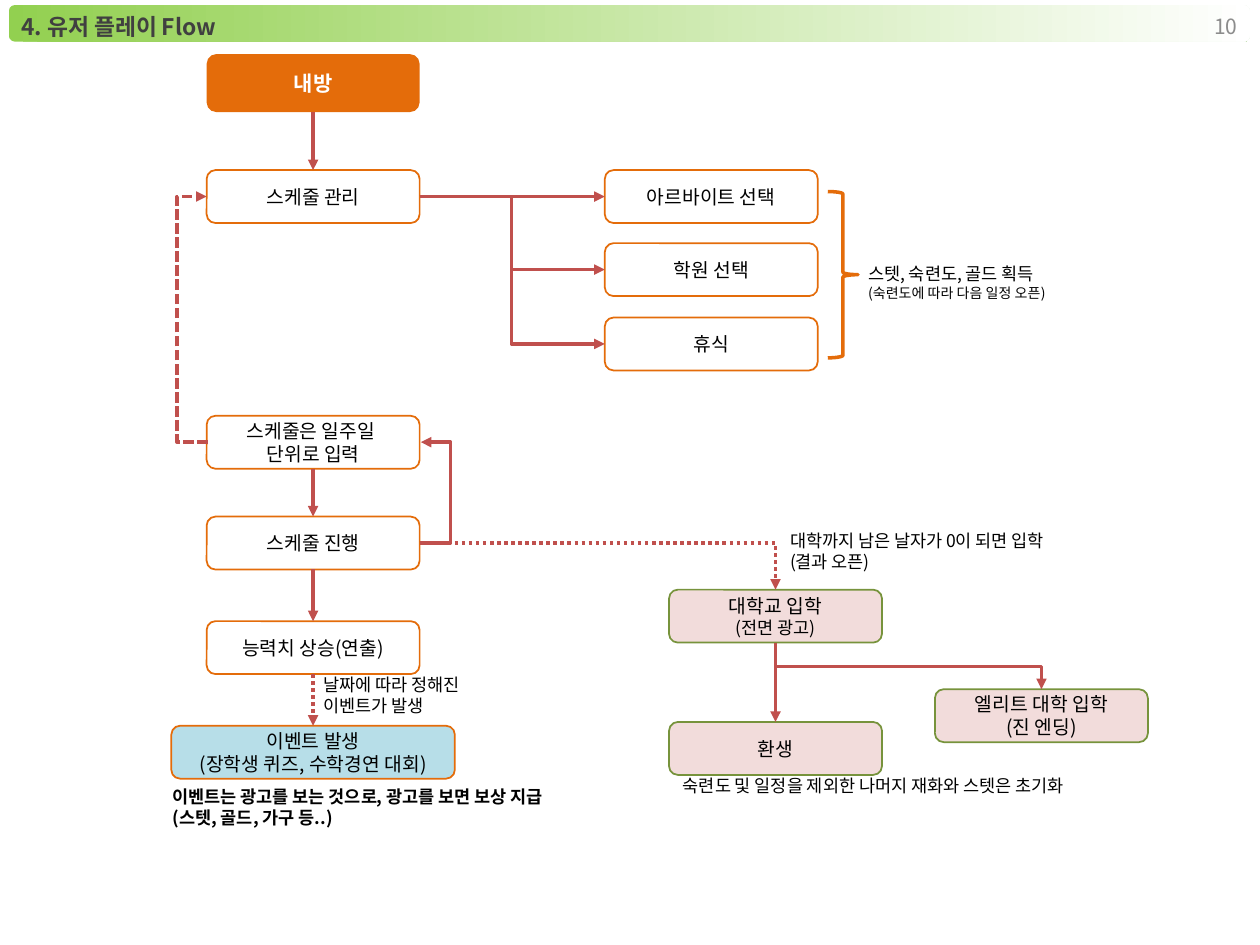
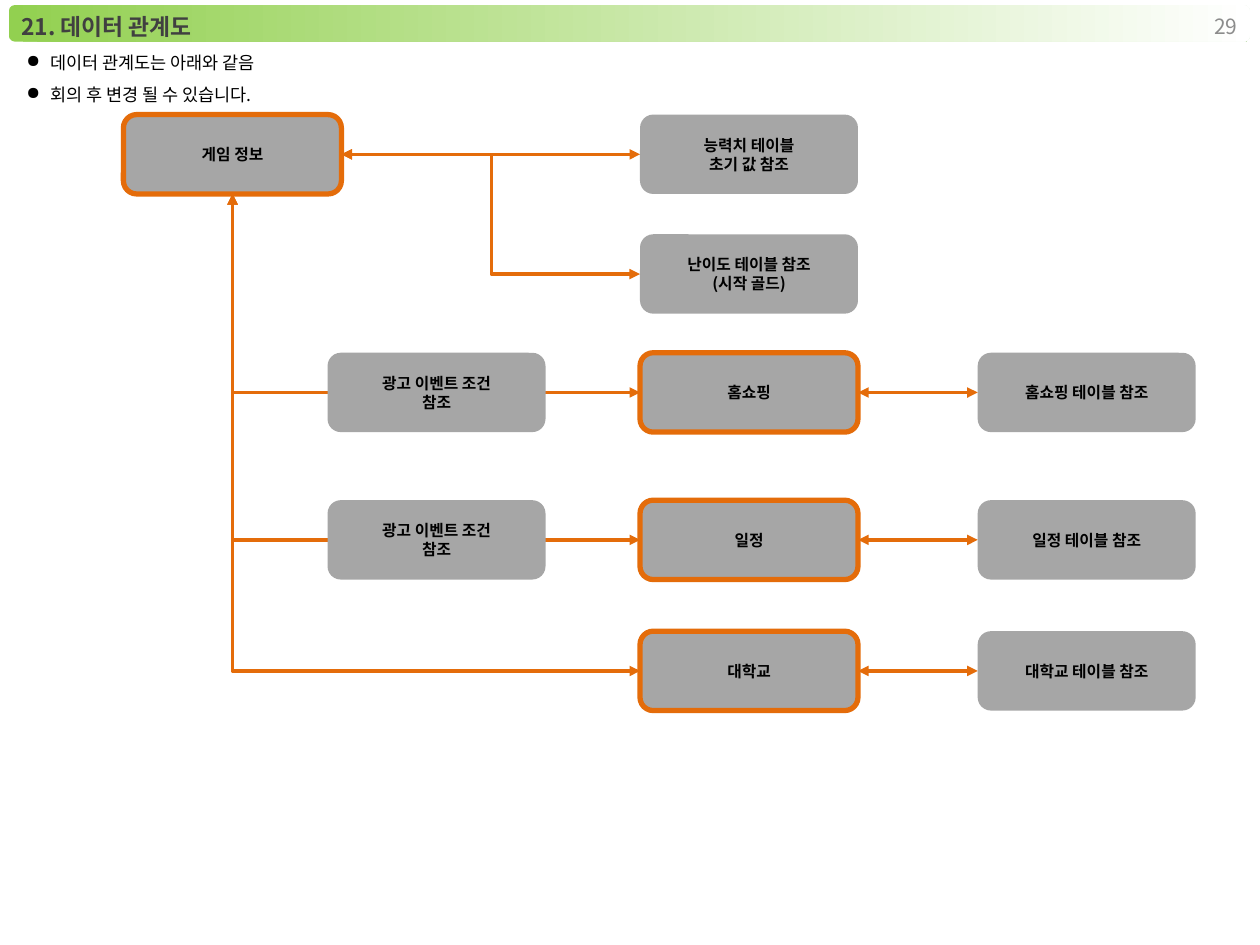
from lxml.etree import SubElement
from pptx import Presentation
from pptx.dml.color import RGBColor
from pptx.enum.dml import MSO_LINE
from pptx.enum.shapes import MSO_CONNECTOR, MSO_SHAPE
from pptx.enum.text import MSO_ANCHOR, MSO_AUTO_SIZE, PP_ALIGN
from pptx.oxml.ns import qn
from pptx.util import Inches, Pt

FONT = "Noto Sans CJK KR"
ORANGE, RED, GREEN = "E46C0A", "C0504D", "77933C"
WHITE, BLACK, GRAY, PINK, BLUE = "FFFFFF", "000000", "A6A6A6", "F2DCDB", "B7DEE8"
LIME, TITLE_COLOR, NUMBER_COLOR = "92D050", "404040", "8C8C8C"

STEP = dict(width=1.69, height=0.42, fill=WHITE, outline=ORANGE, weight=1, text=dict(size=11))
COLLEGE = STEP | dict(fill=PINK, outline=GREEN)
TABLE = dict(width=1.73, height=0.63, fill=GRAY, outline=None, weight=3,
             text=dict(size=9, bold=True, margins=(0, 0, 0, 0)))
STYLES = {
    "start": STEP | dict(height=0.46, fill=ORANGE, outline=None,
                         text=dict(size=12, bold=True, color=WHITE)),
    "step": STEP,
    "college": COLLEGE,
    "event": STEP | dict(width=2.25, fill=BLUE),
    "table": TABLE,
    "data": TABLE | dict(outline=ORANGE),
}

FLOW_COLUMNS = dict(event=1.36, main=1.64, choice=4.8, college=5.31, elite=7.42)
FLOW_BOXES = {
    "room": ("main", 0.43, "start", ["내방"]),
    "manage": ("main", 1.35, "step", ["스케줄 관리"]),
    "input": ("main", 3.3, "step", ["스케줄은 일주일 ", "단위로 입력"]),
    "progress": ("main", 4.1, "step", ["스케줄 진행"]),
    "ability": ("main", 4.93, "step", ["능력치 상승(연출)"]),
    "event": ("event", 5.76, "event", ["이벤트 발생", "(장학생 퀴즈, 수학경연 대회)"]),
    "job": ("choice", 1.35, "step", ["아르바이트 선택"]),
    "academy": ("choice", 1.93, "step", ["학원 선택"]),
    "rest": ("choice", 2.52, "step", ["휴식"]),
    "college": ("college", 4.68, "college", ["대학교 입학", ("(전면 광고)", 10)]),
    "rebirth": ("college", 5.73, "college", ["환생"]),
    "elite": ("elite", 5.47, "college", ["엘리트 대학 입학", "(진 엔딩)"]),
}
FLOW_LINKS = [
    ("room", "bottom", "manage", "top", {}),
    ("input", "bottom", "progress", "top", {}),
    ("progress", "bottom", "ability", "top", {}),
    ("ability", "bottom", "event", "top", dict(dash=MSO_LINE.ROUND_DOT)),
    ("manage", "right", "job", "left", {}),
    ("manage", "right", "academy", "left", dict(bend=4.06)),
    ("manage", "right", "rest", "left", dict(bend=4.06)),
    ("progress", "right", "college", "top", dict(bend="corner", dash=MSO_LINE.ROUND_DOT)),
    ("progress", "right", "input", "right", dict(bend=3.58)),
    ("input", "left", "manage", "left", dict(bend=1.4, dash=MSO_LINE.SQUARE_DOT)),
    ("college", "bottom", "rebirth", "top", {}),
    ("college", "bottom", "elite", "top", dict(bend=5.29)),
]
FLOW_NOTES = [
    ((6.27, 4.21, 2.85, 0.34), ["대학까지 남은 날자가 0이 되면 입학", "(결과 오픈)"], False),
    ((2.57, 5.35, 1.24, 0.34), ["날짜에 따라 정해진 이벤트가 발생"], False),
    ((1.37, 6.24, 3.42, 0.34),
     ["이벤트는 광고를 보는 것으로, 광고를 보면 보상 지급", "(스텟, 골드, 가구 등..)"], True),
    ((6.89, 2.09, 2.85, 0.3), ["스텟, 숙련도, 골드 획득", ("(숙련도에 따라 다음 일정 오픈)", 8)], False),
    ((5.42, 6.15, 3.52, 0.17), ["숙련도 및 일정을 제외한 나머지 재화와 스텟은 초기화"], False),
]
BRACE = (6.57, 1.52, 0.24, 1.32)

DATA_COLUMNS = dict(info=0.98, condition=2.6, data=5.08, reference=7.76)
DATA_BOXES = {
    "info": ("info", 0.91, "data", ["게임 정보"]),
    "ability": ("data", 0.91, "table", ["능력치 테이블", "초기 값 참조"]),
    "level": ("data", 1.86, "table", ["난이도 테이블 참조", "(시작 골드)"]),
}
DATA_LINKS = [
    ("info", "right", "ability", "left", {}),
    ("info", "right", "level", "left", dict(bend=3.9)),
]
CONDITIONS = {}
for subject, top, conditional in [("홈쇼핑", 2.8, True), ("일정", 3.97, True), ("대학교", 5.01, False)]:
    reference = f"{subject} 테이블 참조"
    DATA_BOXES[subject] = ("data", top, "data", [subject])
    DATA_BOXES[reference] = ("reference", top, "table", [reference])
    DATA_LINKS += [("info", "bottom", subject, "left", dict(bend="corner")),
                   (subject, "right", reference, "left", {})]
    if conditional:
        CONDITIONS[subject] = ("condition", top, "table", ["광고 이벤트 조건", "참조"])
DATA_BULLETS = ["데이터 관계도는 아래와 같음", "회의 후 변경 될 수 있습니다."]


def rgb(value):
    return RGBColor.from_string(value)


def inches(values):
    return [Inches(value) for value in values]


def write(shape, lines, size=10, color=BLACK, bold=False, align=PP_ALIGN.LEFT,
          anchor=MSO_ANCHOR.MIDDLE, margins=(0.1, 0.05, 0.1, 0.05), spacing=None, bullet=None):
    frame = shape.text_frame
    frame.word_wrap = True
    frame.auto_size = MSO_AUTO_SIZE.NONE
    frame.vertical_anchor = anchor
    frame.margin_left, frame.margin_top, frame.margin_right, frame.margin_bottom = inches(margins)
    for index, line in enumerate(lines):
        text, line_size = line if isinstance(line, tuple) else (line, size)
        paragraph = frame.add_paragraph() if index else frame.paragraphs[0]
        paragraph.alignment = align
        if spacing:
            paragraph.line_spacing = spacing
        if bullet:
            properties = paragraph._p.get_or_add_pPr()
            properties.set("marL", str(Inches(0.19)))
            properties.set("indent", str(-Inches(0.19)))
            SubElement(properties, qn("a:buChar")).set("char", bullet)
        run = paragraph.add_run()
        run.text = text
        run.font.name = FONT
        run.font.size = Pt(line_size)
        run.font.bold = bold
        run.font.color.rgb = rgb(color)
        SubElement(run._r.get_or_add_rPr(), qn("a:ea")).set("typeface", FONT)


def add_text(slide, place, lines, **text_format):
    write(slide.shapes.add_textbox(*inches(place)), lines, **text_format)


def add_shape(slide, kind, place, fill=None, outline=None, weight=1):
    shape = slide.shapes.add_shape(kind, *inches(place))
    shape.shadow.inherit = False
    if fill:
        shape.fill.solid()
        shape.fill.fore_color.rgb = rgb(fill)
    else:
        shape.fill.background()
    if outline:
        shape.line.color.rgb = rgb(outline)
        shape.line.width = Pt(weight)
    else:
        shape.line.fill.background()
    return shape


def add_titled_slide(presentation, title_text, number):
    slide = presentation.slides.add_slide(presentation.slide_layouts[5])
    title = slide.shapes.title
    band_place = (0.07, 0.04, 9.85, 0.29)
    band = add_shape(slide, MSO_SHAPE.ROUNDED_RECTANGLE, band_place)
    band.fill.gradient()
    band.fill.gradient_angle = 0
    for stop, color in zip(band.fill.gradient_stops, (LIME, WHITE)):
        stop.color.rgb = rgb(color)
    title._element.addprevious(band._element)
    title.left, title.top, title.width, title.height = inches(band_place)
    write(title, [title_text], size=13, color=TITLE_COLOR, bold=True, spacing=1.2)
    add_text(slide, (7.59, 0.01, 2.33, 0.4), [number], size=12, color=NUMBER_COLOR,
             align=PP_ALIGN.RIGHT)
    return slide


def box_place(box, columns):
    column, top, style, _ = box
    return columns[column], top, STYLES[style]["width"], STYLES[style]["height"]


def add_boxes(slide, boxes, columns):
    for box in boxes.values():
        style = STYLES[box[2]]
        shape = add_shape(slide, MSO_SHAPE.ROUNDED_RECTANGLE, box_place(box, columns),
                          style["fill"], style["outline"], style["weight"])
        write(shape, box[3], align=PP_ALIGN.CENTER, **style["text"])


def side_point(place, side):
    left, top, width, height = place
    return {
        "left": (left, top + height / 2),
        "right": (left + width, top + height / 2),
        "top": (left + width / 2, top),
        "bottom": (left + width / 2, top + height),
    }[side]


def add_link(slide, start, end, vertical, color, bend=None, dash=None, double=False):
    (start_x, start_y), (end_x, end_y) = start, end
    if isinstance(bend, float) and start_x == end_x:
        if bend > end_x:
            end_x += 0.01
        else:
            start_x += 0.01
    kind = MSO_CONNECTOR.ELBOW if bend else MSO_CONNECTOR.STRAIGHT
    connector = slide.shapes.add_connector(kind, *inches((start_x, start_y, end_x, end_y)))
    properties = connector._element.spPr
    if bend:
        geometry = properties.find(qn("a:prstGeom"))
        if bend == "corner":
            geometry.set("prst", "bentConnector2")
        else:
            first, last = (start_y, end_y) if vertical else (start_x, end_x)
            share = round((bend - first) / (last - first) * 100000)
            guide = SubElement(geometry.get_or_add_avLst(), qn("a:gd"))
            guide.set("name", "adj1")
            guide.set("fmla", f"val {share}")
        if vertical:
            across, down = end_x - start_x, end_y - start_y
            connector.left = Inches((start_x + end_x - down) / 2)
            connector.top = Inches((start_y + end_y - across) / 2)
            connector.width, connector.height = Inches(down), Inches(across)
            transform = properties.find(qn("a:xfrm"))
            transform.set("rot", str(270 * 60000))
            transform.set("flipH", "1")
    connector.line.color.rgb = rgb(color)
    connector.line.width = Pt(2)
    if dash:
        connector.line.dash_style = dash
    line = properties.find(qn("a:ln"))
    for arrow in ("a:headEnd", "a:tailEnd") if double else ("a:tailEnd",):
        SubElement(line, qn(arrow)).set("type", "triangle")
    SubElement(properties, qn("a:effectLst"))


def add_links(slide, links, boxes, columns, color, double=False):
    for source, source_side, target, target_side, options in links:
        start = side_point(box_place(boxes[source], columns), source_side)
        end = side_point(box_place(boxes[target], columns), target_side)
        add_link(slide, start, end, source_side == "bottom", color, double=double, **options)


def build_flow(presentation):
    slide = add_titled_slide(presentation, "4. 유저 플레이 Flow", "10")
    add_boxes(slide, FLOW_BOXES, FLOW_COLUMNS)
    add_links(slide, FLOW_LINKS, FLOW_BOXES, FLOW_COLUMNS, RED)
    add_shape(slide, MSO_SHAPE.RIGHT_BRACE, BRACE, outline=ORANGE, weight=2)
    for place, lines, bold in FLOW_NOTES:
        add_text(slide, place, lines, bold=bold, anchor=MSO_ANCHOR.TOP, margins=(0, 0, 0, 0))


def build_data_relations(presentation):
    slide = add_titled_slide(presentation, "21. 데이터 관계도", "29")
    add_text(slide, (0.07, 0.33, 9.18, 0.58), DATA_BULLETS, anchor=MSO_ANCHOR.TOP,
             margins=(0.14, 0, 0.14, 0.08), spacing=1.5, bullet="●")
    add_boxes(slide, DATA_BOXES, DATA_COLUMNS)
    add_links(slide, DATA_LINKS, DATA_BOXES, DATA_COLUMNS, ORANGE, double=True)
    add_boxes(slide, CONDITIONS, DATA_COLUMNS)


def main():
    presentation = Presentation()
    presentation.slide_width, presentation.slide_height = inches((10, 7.5))
    build_flow(presentation)
    build_data_relations(presentation)
    presentation.save("out.pptx")


if __name__ == "__main__":
    main()
